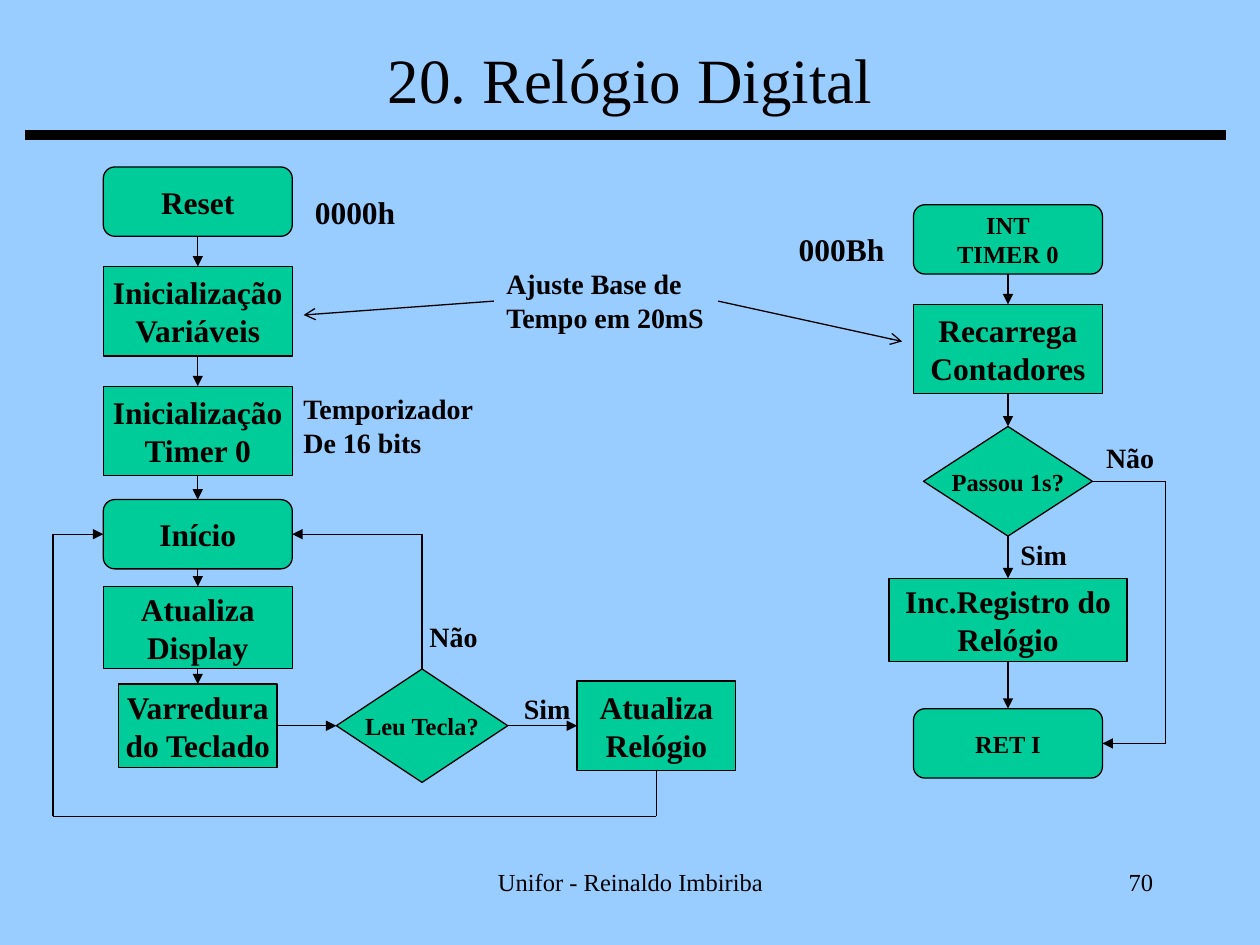
from itertools import pairwise

from lxml import etree
from pptx import Presentation
from pptx import util as u
from pptx.dml.color import RGBColor
from pptx.enum import shapes, text
from pptx.oxml.ns import qn

COLORS = {"background": "99CCFF", "box": "00CC99", "ink": "000000"}
FONT = "Times New Roman"
TITLE = "20. Relógio Digital"
MAIN_X, TIMER_X = 1.57, 8.0  # centre lines of the two flows
KEYS_Y = 5.76  # centre line of the keyboard row
TOP, LEFT, BOTTOM, RIGHT = range(4)
PRESETS = {
    "round": shapes.MSO_SHAPE.ROUNDED_RECTANGLE,
    "box": shapes.MSO_SHAPE.RECTANGLE,
    "diamond": shapes.MSO_SHAPE.DIAMOND,
}

# name: (kind, centre x, centre y, width, height, text size, lines)
NODES = {
    "reset": ("round", MAIN_X, 1.6, 1.5, 0.55, 18, ["Reset"]),
    "variables": ("box", MAIN_X, 2.47, 1.5, 0.71, 18, ["Inicialização", "Variáveis"]),
    "timer": ("box", MAIN_X, 3.42, 1.5, 0.71, 18, ["Inicialização", "Timer 0"]),
    "start": ("round", MAIN_X, 4.24, 1.5, 0.55, 18, ["Início"]),
    "display": ("box", MAIN_X, 4.98, 1.5, 0.65, 18, ["Atualiza", "Display"]),
    "scan": ("box", MAIN_X, KEYS_Y, 1.26, 0.66, 18, ["Varredura", "do Teclado"]),
    "key": ("diamond", 3.35, KEYS_Y, 1.36, 0.9, 14, ["Leu Tecla?"]),
    "clock": ("box", 5.21, KEYS_Y, 1.26, 0.71, 18, ["Atualiza", "Relógio"]),
    "interrupt": ("round", TIMER_X, 1.9, 1.5, 0.55, 14, ["INT", "TIMER 0"]),
    "reload": ("box", TIMER_X, 2.77, 1.5, 0.71, 18, ["Recarrega", "Contadores"]),
    "second": ("diamond", TIMER_X, 3.82, 1.34, 0.87, 14, ["Passou 1s?"]),
    "register": ("box", TIMER_X, 4.92, 1.89, 0.66, 18, ["Inc.Registro do", "Relógio"]),
    "return": ("round", TIMER_X, 5.9, 1.5, 0.55, 14, ["RET I"]),
}

FLOWS = [
    ["reset", "variables", "timer", "start", "display", "scan"],
    ["interrupt", "reload", "second", "register", "return"],
]

# Each stop is a (node, side) pair or an (x, y) point; then the arrowhead
ROUTES = [
    ([("scan", RIGHT), ("key", LEFT)], "triangle"),
    ([("key", RIGHT), ("clock", LEFT)], "triangle"),
    ([("key", TOP), (3.35, 4.24), ("start", RIGHT)], "triangle"),
    ([("clock", BOTTOM), (5.21, 6.48), (0.42, 6.48), (0.42, 4.24), ("start", LEFT)], "triangle"),
    ([("second", RIGHT), (9.25, 3.82), (9.25, 5.9), ("return", RIGHT)], "triangle"),
    ([(3.92, 2.39), (2.41, 2.5)], "arrow"),
    ([(5.7, 2.39), (7.16, 2.71)], "arrow"),
]

# (left, top, width, height, text size, lines)
LABELS = [
    (2.4, 1.48, 1.02, 0.4, 18, ["0000h"]),
    (6.24, 1.78, 1.02, 0.4, 18, ["000Bh"]),
    (2.31, 3.06, 1.74, 0.64, 16, ["Temporizador", "De 16 bits"]),
    (3.92, 2.07, 1.78, 0.9, 16, ["Ajuste Base de Tempo em 20mS"]),
    (3.31, 4.87, 0.65, 0.37, 16, ["Não"]),
    (4.06, 5.44, 0.65, 0.37, 16, ["Sim"]),
    (8.68, 3.45, 0.65, 0.37, 16, ["Não"]),
    (8.0, 4.22, 0.65, 0.37, 16, ["Sim"]),
]
FOOTERS = [
    (3.42, 6.83, 3.17, 0.5, "Unifor - Reinaldo Imbiriba", text.PP_ALIGN.CENTER),
    (7.17, 6.83, 2.08, 0.5, "70", text.PP_ALIGN.RIGHT),
]


def color(name):
    return RGBColor.from_string(COLORS[name])


def write(shape, lines, size, bold=True, align=text.PP_ALIGN.LEFT,
          anchor=text.MSO_ANCHOR.TOP, wrap=True, inset=0.05):
    frame = shape.text_frame
    frame.word_wrap = wrap
    frame.vertical_anchor = anchor
    frame.margin_top = frame.margin_bottom = u.Inches(inset)
    frame.text = "\n".join(lines)
    for paragraph in frame.paragraphs:
        paragraph.alignment = align
        font = paragraph.font
        font.name, font.size, font.bold = FONT, u.Pt(size), bold
        font.color.rgb = color("ink")


def add_node(slide, kind, x, y, width, height, size, lines):
    shape = slide.shapes.add_shape(
        PRESETS[kind], u.Inches(x - width / 2), u.Inches(y - height / 2),
        u.Inches(width), u.Inches(height))
    shape.shadow.inherit = False
    shape.fill.solid()
    shape.fill.fore_color.rgb = color("box")
    shape.line.color.rgb = color("ink")
    shape.line.width = u.Pt(0.75)
    write(shape, lines, size, align=text.PP_ALIGN.CENTER,
          anchor=text.MSO_ANCHOR.MIDDLE, wrap=False, inset=0)
    return shape


def add_text(slide, left, top, width, height, lines, size, **style):
    box = slide.shapes.add_textbox(*map(u.Inches, (left, top, width, height)))
    write(box, lines, size, **style)


def add_line(slide, nodes, start, end, width=0.75, head=None):
    points = [(0, 0) if stop[0] in nodes else stop for stop in (start, end)]
    line = slide.shapes.add_connector(
        shapes.MSO_CONNECTOR.STRAIGHT,
        *(u.Inches(value) for point in points for value in point))
    for stop, connect in ((start, line.begin_connect), (end, line.end_connect)):
        if stop[0] in nodes:
            connect(nodes[stop[0]], stop[1])
    line.line.color.rgb = color("ink")
    line.line.width = u.Pt(width)
    if head:
        etree.SubElement(line.line._get_or_add_ln(), qn("a:tailEnd"), type=head)
    etree.SubElement(line._element.spPr, qn("a:effectLst"))


def main():
    presentation = Presentation()
    presentation.slide_width, presentation.slide_height = u.Inches(10), u.Inches(7.5)
    slide = presentation.slides.add_slide(presentation.slide_layouts[5])
    slide.background.fill.solid()
    slide.background.fill.fore_color.rgb = color("background")

    # Title and rule
    title = slide.shapes.title
    title.left, title.top, title.width, title.height = map(u.Inches, (0.75, 0, 8.5, 1.25))
    write(title, [TITLE], 36, bold=False, align=text.PP_ALIGN.CENTER,
          anchor=text.MSO_ANCHOR.MIDDLE)
    add_line(slide, {}, (0.2, 1.07), (9.73, 1.07), width=6)

    # Flowchart nodes
    nodes = {name: add_node(slide, *node) for name, node in NODES.items()}

    # Downward flows, then branches and pointers
    for flow in FLOWS:
        for upper, lower in pairwise(flow):
            add_line(slide, nodes, (upper, BOTTOM), (lower, TOP), head="triangle")
    for stops, head in ROUTES:
        for start, end in pairwise(stops):
            add_line(slide, nodes, start, end, head=head if end == stops[-1] else None)

    # Labels and footer
    for *place, size, lines in LABELS:
        add_text(slide, *place, lines, size)
    for *place, words, align in FOOTERS:
        add_text(slide, *place, [words], 14, bold=False, align=align)

    presentation.save("out.pptx")


if __name__ == "__main__":
    main()
